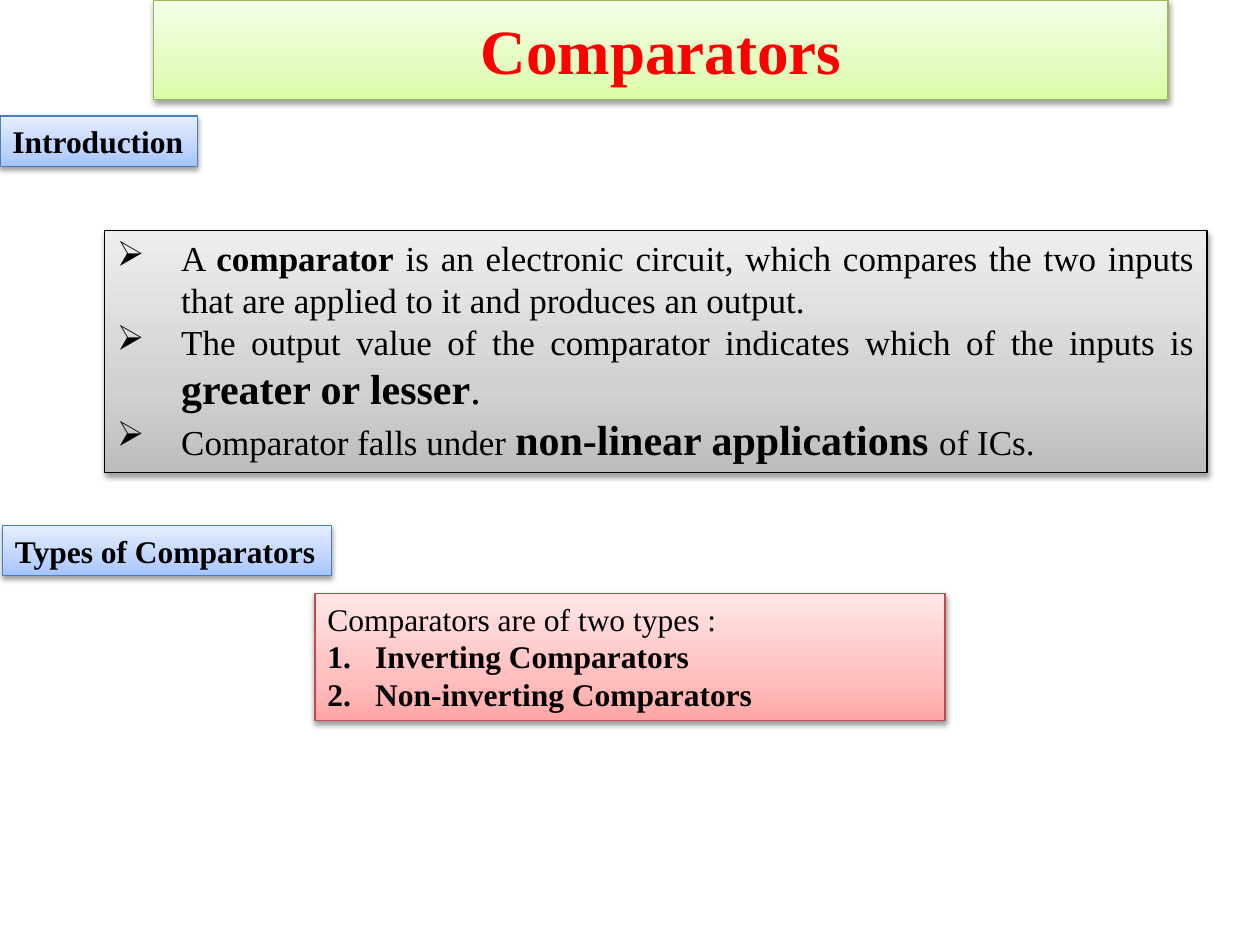
import copy
from dataclasses import dataclass

import pptx
import pptx.dml.color
import pptx.enum.shapes
import pptx.enum.text
import pptx.oxml
import pptx.oxml.ns
import pptx.util

ALIGN = pptx.enum.text.PP_ALIGN
ANCHOR = pptx.enum.text.MSO_ANCHOR
FONT = "Times New Roman"
COLORS = {"title": "FF0000", "body": "000000", "shadow": "000000"}
# Outline, then the gradient from bottom to top
PANELS = {
    "green": ("98B955", "DAFDA7", "E4FCC2", "F5FFE7"),
    "blue": ("4B7EBC", "A4C4FF", "BFD4FF", "E6EEFF"),
    "gray": ("000000", "BDBDBD", "D1D1D1", "EEEEEE"),
    "red": ("BF4C48", "FFA6A5", "FFC0BF", "FFE7E7"),
}
GRADIENT_POSITIONS = (0, 0.35, 1)
ARROW = '<a:buChar {ns} char="➢"/>'
NUMBER = '<a:buAutoNum {ns} type="arabicPeriod"/>'


@dataclass
class Area:
    """A rectangle in percent of the slide's width and height."""
    left: float
    top: float
    width: float
    height: float


@dataclass
class Run:
    text: str
    size: int = 18
    bold: bool = False


@dataclass
class Label:
    text: str
    area: Area


def color(value: str) -> pptx.dml.color.RGBColor:
    return pptx.dml.color.RGBColor.from_string(value)


def element(template: str):
    return pptx.oxml.parse_xml(template.format(ns=pptx.oxml.ns.nsdecls("a"), **COLORS))


def add_panel(deck, slide, area: Area, palette: str):
    """Draw a gradient rectangle with a thin outline and a soft shadow below."""
    across, down = deck.slide_width / 100, deck.slide_height / 100
    panel = slide.shapes.add_shape(
        pptx.enum.shapes.MSO_SHAPE.RECTANGLE,
        round(area.left * across), round(area.top * down),
        round(area.width * across), round(area.height * down))
    outline, *shades = PANELS[palette]

    panel.fill.gradient()
    panel.fill.gradient_angle = 90
    properties = panel._element.spPr
    stops = properties.find(".//" + pptx.oxml.ns.qn("a:gsLst"))
    stops.append(copy.deepcopy(stops[0]))
    for stop, shade, position in zip(panel.fill.gradient_stops, shades, GRADIENT_POSITIONS):
        stop.color.rgb = color(shade)
        stop.position = position

    panel.line.color.rgb = color(outline)
    panel.line.width = pptx.util.Pt(0.75)
    panel.shadow.inherit = False
    properties.find(pptx.oxml.ns.qn("a:effectLst")).append(element(
        '<a:outerShdw {ns} blurRad="40000" dist="20000" dir="5400000" rotWithShape="0">'
        '<a:srgbClr val="{shadow}"><a:alpha val="38000"/></a:srgbClr></a:outerShdw>'))
    return panel


def write(panel, paragraphs: list[list[Run]], *, ink: str = "body", align=ALIGN.LEFT,
          anchor=ANCHOR.TOP, wrap: bool = True, bullet: str = "",
          indent: float = 0, first_bullet: int = 0) -> None:
    """Fill a panel with paragraphs, bulleted from first_bullet on."""
    frame = panel.text_frame
    frame.word_wrap = wrap
    frame.vertical_anchor = anchor
    for index, runs in enumerate(paragraphs):
        paragraph = frame.paragraphs[0] if index == 0 else frame.add_paragraph()
        paragraph.alignment = align
        if bullet and index >= first_bullet:
            margin = pptx.util.Inches(indent)
            layout = paragraph._p.get_or_add_pPr()
            layout.set("marL", str(margin))
            layout.set("indent", str(-margin))
            layout.append(element(bullet))
        for part in runs:
            run = paragraph.add_run()
            run.text = part.text
            run.font.name = FONT
            run.font.size = pptx.util.Pt(part.size)
            run.font.bold = part.bold
            run.font.color.rgb = color(COLORS[ink])


HEADINGS = [
    Label("Introduction", Area(0, 12.27, 15.7, 5.33)),
    Label("Types of Comparators", Area(0.2, 55.6, 26.1, 5.33)),
]
INTRODUCTION = [
    [Run("A ", 20), Run("comparator", 20, True),
     Run(" is an electronic circuit, which compares the two inputs that are applied "
         "to it and produces an output.", 20)],
    [Run("The output value of the comparator indicates which of the inputs is ", 20),
     Run("greater or lesser", 24, True), Run(".", 24)],
    [Run("Comparator falls under ", 20), Run("non-linear applications ", 24, True),
     Run("of ICs.", 20)],
]
TYPES = [
    [Run("Comparators are of two types :")],
    [Run("Inverting Comparators", bold=True)],
    [Run("Non-inverting Comparators", bold=True)],
]


def main() -> None:
    deck = pptx.Presentation()
    deck.slide_width = pptx.util.Inches(10)
    deck.slide_height = pptx.util.Inches(7.5)
    slide = deck.slides.add_slide(deck.slide_layouts[6])

    title = add_panel(deck, slide, Area(12.2, 0, 80.5, 10.53), "green")
    write(title, [[Run("Comparators", 36, True)]], ink="title",
          align=ALIGN.CENTER, anchor=ANCHOR.MIDDLE)
    for heading in HEADINGS:
        write(add_panel(deck, slide, heading.area, "blue"),
              [[Run(heading.text, bold=True)]], wrap=False)
    introduction = add_panel(deck, slide, Area(8.3, 24.4, 87.5, 25.6), "gray")
    write(introduction, INTRODUCTION, align=ALIGN.JUSTIFY, bullet=ARROW, indent=0.51)
    types = add_panel(deck, slide, Area(25, 62.8, 50, 13.47), "red")
    write(types, TYPES, bullet=NUMBER, indent=0.38, first_bullet=1)

    deck.save("out.pptx")


if __name__ == "__main__":
    main()
